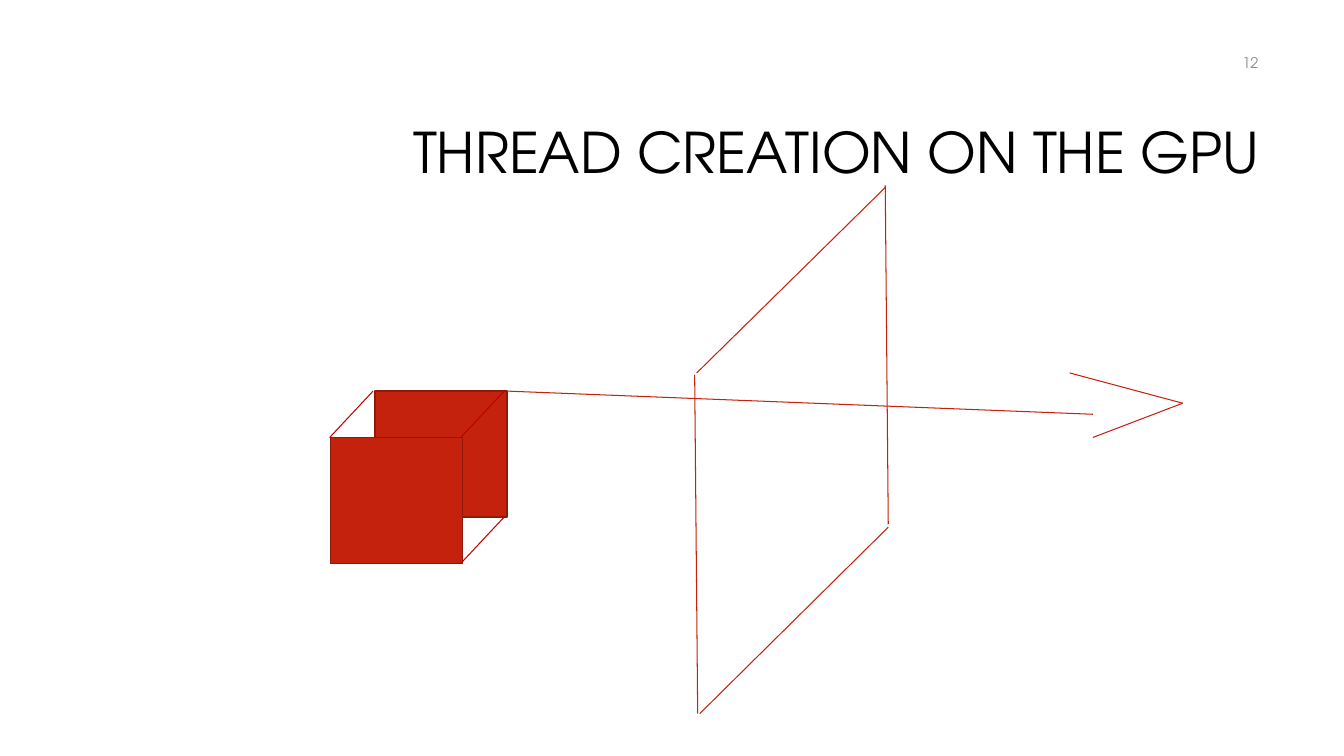
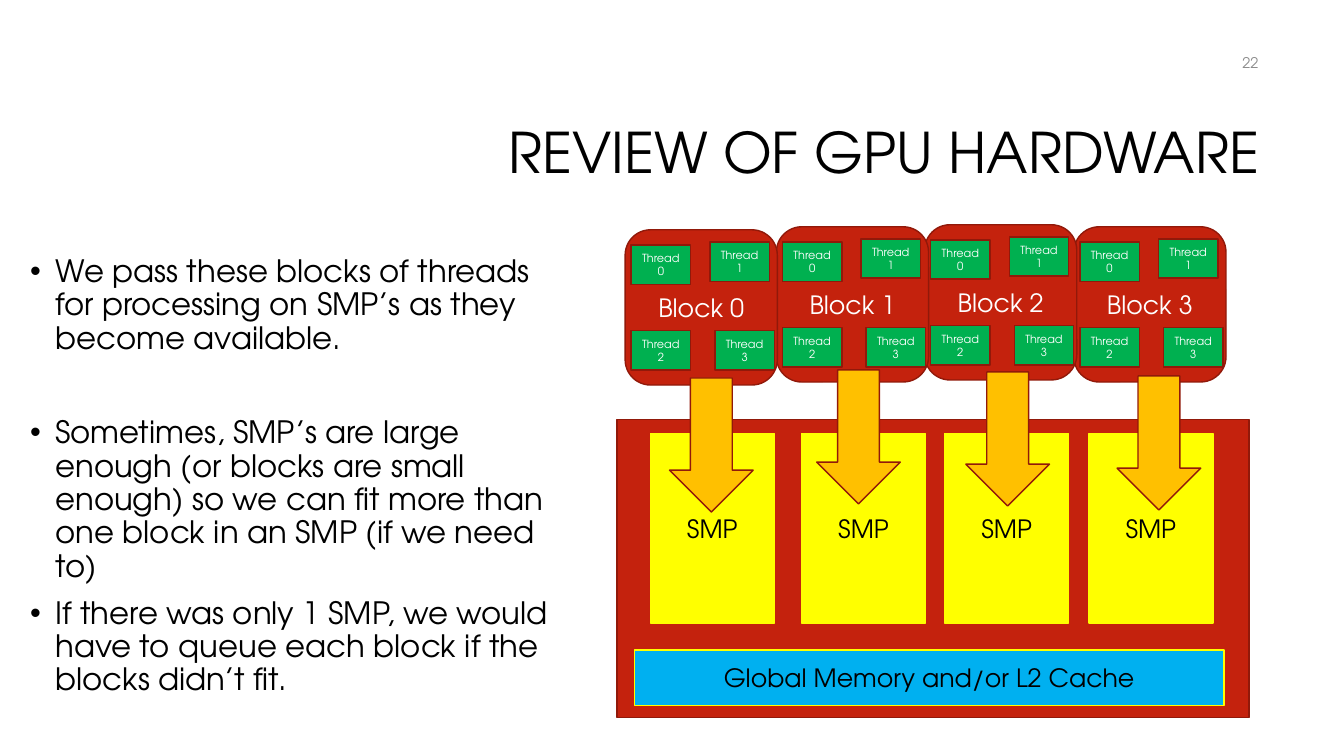
import pptx
import pptx.dml.color
import pptx.enum.shapes
import pptx.enum.text
import pptx.oxml.ns
import pptx.util
from lxml import etree

Inches = pptx.util.Inches
Pt = pptx.util.Pt
SHAPE = pptx.enum.shapes.MSO_SHAPE
ALIGN = pptx.enum.text.PP_ALIGN
MIDDLE = pptx.enum.text.MSO_ANCHOR.MIDDLE

FONT = "TeX Gyre Adventor"
COLORS = {
    "red": "C4220D", "edge": "91190A", "crimson": "C00000",
    "green": "00B050", "yellow": "FFFF00", "blue": "00B0F0",
    "gold": "FFC000", "black": "000000", "white": "FFFFFF", "gray": "8C8C8C",
}
TITLE_ONLY, TITLE_BODY = 5, 1


def color(name):
    return pptx.dml.color.RGBColor.from_string(COLORS[name])


class Deck:
    def __init__(self):
        self.prs = pptx.Presentation()
        self.prs.slide_width = Inches(13.33)
        self.prs.slide_height = Inches(7.5)
        self.slide = None

    def place(self, shape, left, top, width, height):
        shape.left, shape.top = Inches(left), Inches(top)
        shape.width, shape.height = Inches(width), Inches(height)

    def style(self, par, size, ink, align):
        par.alignment = align
        for run in par.runs:
            run.font.name = FONT
            run.font.size = Pt(size)
            run.font.color.rgb = color(ink)

    def label(self, shape, text, size, ink, align=ALIGN.CENTER):
        frame = shape.text_frame
        frame.text = text
        frame.word_wrap = True
        frame.vertical_anchor = MIDDLE
        self.style(frame.paragraphs[0], size, ink, align)

    def page(self, title, number, layout=TITLE_ONLY):
        """Start a slide with its title and page number."""
        self.slide = self.prs.slides.add_slide(self.prs.slide_layouts[layout])
        head = self.slide.shapes.title
        self.place(head, 3.17, 0.84, 9.42, 1.41)
        self.label(head, title, 40, "black", ALIGN.RIGHT)
        head.text_frame.auto_size = pptx.enum.text.MSO_AUTO_SIZE.NONE
        head.text_frame.paragraphs[0].line_spacing = 0.9
        box = self.slide.shapes.add_textbox(
            Inches(9.58), Inches(0.42), Inches(3), Inches(0.4))
        self.label(box, str(number), 10.5, "gray", ALIGN.RIGHT)

    def bullets(self, items, left, top, width, height):
        """Fill the body placeholder with (text, space before) pairs."""
        body = self.slide.placeholders[1]
        self.place(body, left, top, width, height)
        frame = body.text_frame
        frame.text = "\n".join(text for text, _ in items)
        frame.auto_size = pptx.enum.text.MSO_AUTO_SIZE.NONE
        for par, (_, gap) in zip(frame.paragraphs, items):
            self.style(par, 22, "black", ALIGN.LEFT)
            par.line_spacing = 0.9
            par.space_before = Pt(gap)
            props = par._p.get_or_add_pPr()
            props.set("marL", str(Inches(0.25)))
            props.set("indent", str(Inches(-0.25)))

    def shape(self, kind, left, top, width, height, fill, edge="edge",
              text="", size=18, ink="black"):
        item = self.slide.shapes.add_shape(
            kind, Inches(left), Inches(top), Inches(width), Inches(height))
        item.shadow.inherit = False
        item.fill.solid()
        item.fill.fore_color.rgb = color(fill)
        item.line.color.rgb = color(edge)
        item.line.width = Pt(1)
        if text:
            self.label(item, text, size, ink)

    def line(self, start, end, ink="red"):
        item = self.slide.shapes.add_connector(
            pptx.enum.shapes.MSO_CONNECTOR.STRAIGHT,
            *(Inches(value) for value in start + end))
        item.line.color.rgb = color(ink)
        item.line.width = Pt(0.75)
        etree.SubElement(item.element.spPr, pptx.oxml.ns.qn("a:effectLst"))

    def block(self, index, left, top):
        """Draw a block holding four threads."""
        self.shape(SHAPE.ROUNDED_RECTANGLE, left, top, 1.51, 1.54, "red",
                   text=f"Block {index}", ink="white")
        spots = [(0.06, 0.15), (0.84, 0.12), (0.06, 1), (0.89, 1)]
        for thread, (dx, dy) in enumerate(spots):
            self.shape(SHAPE.RECTANGLE, left + dx, top + dy, 0.59, 0.39,
                       "green", text=f"Thread {thread}", size=8, ink="white")


def threads(deck):
    deck.page("THREAD CREATION ON THE GPU", 12)
    deck.shape(SHAPE.RECTANGLE, 3.72, 3.88, 1.31, 1.25, "red")
    plane = [
        ((6.92, 7.08), (6.89, 3.72)), ((6.91, 3.7), (8.78, 1.86)),
        ((8.81, 5.2), (8.78, 1.84)), ((6.94, 7.08), (8.81, 5.23)),
    ]
    arrow = [
        ((10.61, 3.7), (11.73, 4)), ((10.84, 4.34), (11.73, 4)),
        ((5.03, 3.88), (10.84, 4.11)),
    ]
    for start, end in plane + arrow:
        deck.line(start, end)
    deck.shape(SHAPE.RECTANGLE, 3.28, 4.34, 1.31, 1.25, "red")
    for x, y in [(4.57, 5.59), (4.57, 4.34), (3.27, 4.34)]:
        deck.line((x, y), (x + 0.43, y - 0.46), "crimson")


def hardware(deck):
    deck.page("REVIEW OF GPU HARDWARE", 22, TITLE_BODY)
    deck.bullets([
        ("We pass these blocks of threads for processing on SMP’s as they "
         "become available.", 10),
        ("Sometimes, SMP’s are large enough (or blocks are small enough) so "
         "we can fit more than one block in an SMP (if we need to)", 44),
        ("If there was only 1 SMP, we would have to queue each block if the "
         "blocks didn’t fit.", 10),
    ], 0.2, 2.49, 5.56, 4.63)

    deck.shape(SHAPE.RECTANGLE, 6.12, 4.16, 6.27, 2.96, "red")
    deck.shape(SHAPE.RECTANGLE, 6.29, 6.45, 5.85, 0.55, "blue", "yellow",
               "Global Memory and/or L2 Cache")
    for left in (6.45, 7.95, 9.37, 10.8):
        deck.shape(SHAPE.RECTANGLE, left, 4.3, 1.23, 1.88, "yellow", "yellow",
                   "SMP")

    blocks = [(6.2, 2.28), (7.7, 2.25), (9.17, 2.23), (10.65, 2.25)]
    for index, (left, top) in reversed(list(enumerate(blocks))):
        deck.block(index, left, top)
    for left, top in [(6.64, 3.75), (8.1, 3.67), (9.58, 3.69), (11.08, 3.73)]:
        deck.shape(SHAPE.DOWN_ARROW, left, top, 0.83, 1.33, "gold")


def main():
    deck = Deck()
    threads(deck)
    hardware(deck)
    deck.prs.save("out.pptx")


if __name__ == "__main__":
    main()
